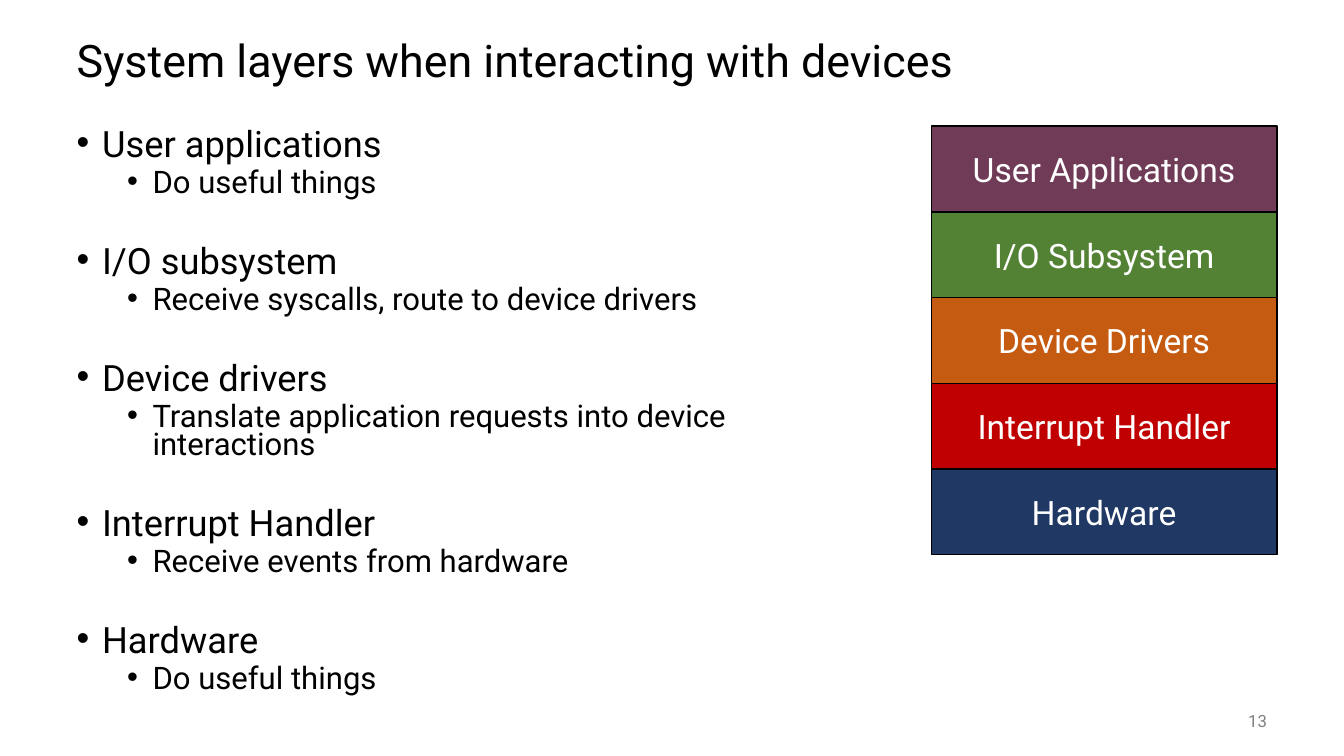
from lxml.etree import SubElement
from pptx import Presentation
from pptx.dml.color import RGBColor
from pptx.enum.shapes import MSO_SHAPE as SHAPE
from pptx.enum.text import MSO_ANCHOR as ANCHOR, MSO_AUTO_SIZE as AUTO, PP_ALIGN as ALIGN
from pptx.oxml.ns import qn
from pptx.util import Cm, Pt

# Content
TITLE = "System layers when interacting with devices"
TOPICS = [
    ("User applications", "Do useful things"),
    ("I/O subsystem", "Receive syscalls, route to device drivers"),
    ("Device drivers", "Translate application requests into device interactions"),
    ("Interrupt Handler", "Receive events from hardware"),
    ("Hardware", "Do useful things"),
]
LAYERS = [
    ("User Applications", "plum"),
    ("I/O Subsystem", "green"),
    ("Device Drivers", "orange"),
    ("Interrupt Handler", "red"),
    ("Hardware", "navy"),
]
PAGE = "13"

# Style
FONT = "Roboto"
COLORS = {
    "black": "000000", "white": "FFFFFF", "gray": "808080", "plum": "703B56",
    "green": "548235", "orange": "C55A11", "red": "C00000", "navy": "203864",
}
# Per list level: size, space before, left margin
LEVELS = [(25.9, 35, Cm(0.64)), (22.2, 5.3, Cm(1.91))]
HANGING = Cm(0.64)
LEFT, LIST_TOP = Cm(1.68), Cm(3.18)
STACK_LEFT, LAYER_W, LAYER_H = Cm(23.47), Cm(8.71), Cm(2.16)


def color(name):
    return RGBColor.from_string(COLORS[name])


def add_run(p, text, size, name):
    r = p.add_run()
    r.text = text
    r.font.name = FONT
    r.font.size = Pt(size)
    r.font.color.rgb = color(name)


def place(sp, left, top, width, height):
    sp.left, sp.top, sp.width, sp.height = left, top, width, height


def add_bullet(p, margin):
    pPr = p._p.get_or_add_pPr()
    pPr.set("marL", str(margin))
    pPr.set("indent", str(-HANGING))
    SubElement(pPr, qn("a:buFont"), typeface="Arial")
    SubElement(pPr, qn("a:buChar"), char="•")


prs = Presentation()
prs.slide_width, prs.slide_height = Cm(33.87), Cm(19.05)
s = prs.slides.add_slide(prs.slide_layouts[1])

# Title
sp = s.shapes.title
place(sp, LEFT, Cm(0.64), Cm(30.48), Cm(1.9))
tf = sp.text_frame
tf.auto_size = AUTO.NONE
tf.vertical_anchor = ANCHOR.MIDDLE
p = tf.paragraphs[0]
p.alignment = ALIGN.LEFT
p.line_spacing = 0.9
add_run(p, TITLE, 32, "black")

# Bulleted list
sp = s.placeholders[1]
place(sp, LEFT, LIST_TOP, Cm(21.08), Cm(13.97))
tf = sp.text_frame
tf.auto_size = AUTO.NONE
lines = [(level, text) for topic in TOPICS for level, text in enumerate(topic)]
for i, (level, text) in enumerate(lines):
    p = tf.add_paragraph() if i else tf.paragraphs[0]
    size, before, margin = LEVELS[level]
    p.level = level
    add_bullet(p, margin)
    p.line_spacing = 0.75
    p.space_before = Pt(before if i else 0)
    add_run(p, text, size, "black")

# Layer stack
stack = s.shapes.add_group_shape()
for i, (text, fill) in enumerate(LAYERS):
    sp = stack.shapes.add_shape(SHAPE.RECTANGLE, STACK_LEFT, LIST_TOP + i * LAYER_H,
                                LAYER_W, LAYER_H)
    sp.shadow.inherit = False
    sp.fill.solid()
    sp.fill.fore_color.rgb = color(fill)
    sp.line.color.rgb = color("black")
    sp.line.width = Pt(1)
    tf = sp.text_frame
    tf.vertical_anchor = ANCHOR.MIDDLE
    p = tf.paragraphs[0]
    p.alignment = ALIGN.CENTER
    add_run(p, text, 24, "white")

# Page number
sp = s.shapes.add_textbox(Cm(29.64), Cm(17.65), Cm(2.54), Cm(1.02))
tf = sp.text_frame
tf.word_wrap = True
tf.vertical_anchor = ANCHOR.MIDDLE
p = tf.paragraphs[0]
p.alignment = ALIGN.RIGHT
add_run(p, PAGE, 12, "gray")

prs.save("out.pptx")
